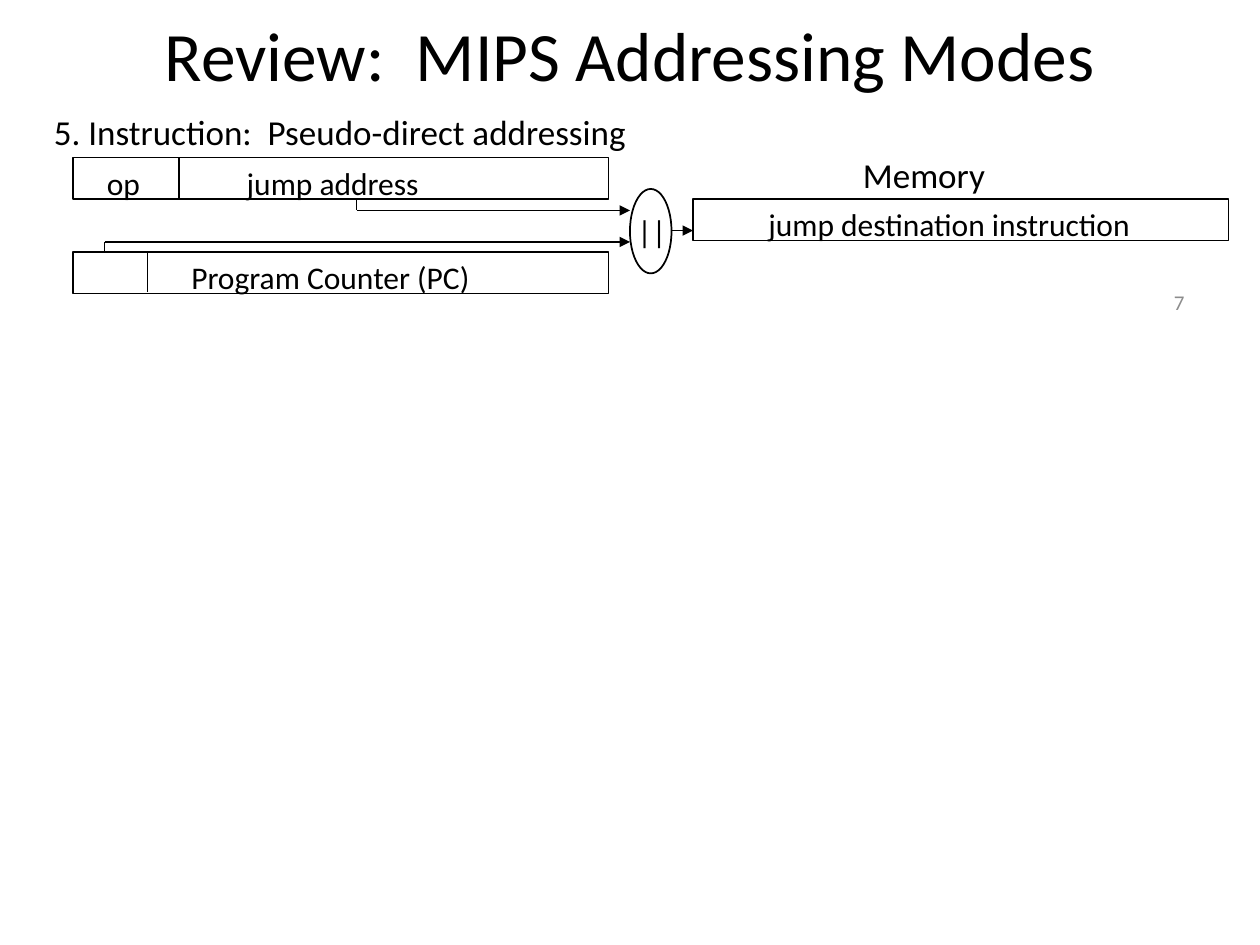
"""Build the slide that reviews MIPS pseudo-direct addressing."""
from dataclasses import dataclass

import lxml.etree
import pptx
import pptx.dml.color
import pptx.enum.shapes
import pptx.enum.text
import pptx.oxml.ns
import pptx.util

Inches = pptx.util.Inches
Pt = pptx.util.Pt
SHAPES = pptx.enum.shapes.MSO_SHAPE
ALIGN = pptx.enum.text.PP_ALIGN
ANCHOR = pptx.enum.text.MSO_ANCHOR

BLACK = pptx.dml.color.RGBColor(0x00, 0x00, 0x00)
GRAY = pptx.dml.color.RGBColor(0x8C, 0x8C, 0x8C)

REGISTER_WIDTH, REGISTER_HEIGHT = 4.25, 0.33
REGISTER_LEFT = 0.58
JUMP_ADDRESS_TAB = 1.11


@dataclass(frozen=True)
class Outline:
    left: float
    top: float
    width: float = REGISTER_WIDTH
    height: float = REGISTER_HEIGHT
    geometry: SHAPES = SHAPES.RECTANGLE


@dataclass(frozen=True)
class Wire:
    start: tuple[float, float]
    end: tuple[float, float]
    arrow: bool = False


@dataclass(frozen=True)
class Label:
    text: str
    left: float
    top: float
    width: float
    height: float = 0.4
    size: float = 18
    color: pptx.dml.color.RGBColor = BLACK
    align: ALIGN = ALIGN.LEFT
    anchor: ANCHOR = ANCHOR.TOP


OUTLINES = [
    Outline(REGISTER_LEFT, 1.25),
    Outline(REGISTER_LEFT, 2),
    Outline(5.5, 1.58),
    Outline(5, 1.5, 0.33, 0.67, SHAPES.OVAL),
]

WIRES = [
    Wire((1.42, 1.25), (1.42, 1.57)),
    Wire((1.17, 2), (1.17, 2.32)),
    Wire((2.83, 1.58), (2.83, 1.67)),
    Wire((2.83, 1.67), (5, 1.67), arrow=True),
    Wire((0.83, 2), (0.83, 1.92)),
    Wire((0.83, 1.92), (5, 1.92), arrow=True),
    Wire((5.33, 1.83), (5.5, 1.83), arrow=True),
]

LABELS = [
    Label("5. Instruction:  Pseudo-direct addressing", 0.33, 0.83, 5.5, 0.43, 20),
    Label("op\tjump address", 0.75, 1.25, 3.02),
    Label("Program Counter (PC)", 1.42, 2, 2.7),
    Label("Memory", 6.75, 1.17, 1.58, 0.43, 20),
    Label("jump destination instruction", 6, 1.58, 3.23),
    Label("||", 4.96, 1.63, 0.58),
    Label("7", 7.17, 2.2, 2.33, size=12, color=GRAY, align=ALIGN.RIGHT, anchor=ANCHOR.MIDDLE),
]


def apply_format(target: object, values: dict[str, object]) -> None:
    for attribute, value in values.items():
        setattr(target, attribute, value)


def add_child(parent: lxml.etree._Element, tag: str, **attributes: str) -> lxml.etree._Element:
    return lxml.etree.SubElement(parent, pptx.oxml.ns.qn(tag), attributes)


def write_text(frame: pptx.text.text.TextFrame, label: Label) -> None:
    apply_format(frame, {
        "text": label.text,
        "word_wrap": True,
        "auto_size": pptx.enum.text.MSO_AUTO_SIZE.NONE,
        "vertical_anchor": label.anchor,
    })
    paragraph = frame.paragraphs[0]
    paragraph.alignment = label.align
    if "\t" in label.text:
        tabs = add_child(paragraph._p.get_or_add_pPr(), "a:tabLst")
        add_child(tabs, "a:tab", pos=str(Inches(JUMP_ADDRESS_TAB)), algn="l")
    for run in paragraph.runs:
        apply_format(run.font, {"name": "Calibri", "size": Pt(label.size)})
        run.font.color.rgb = label.color


def draw_line_format(line: pptx.dml.line.LineFormat) -> None:
    line.color.rgb = BLACK
    line.width = Pt(1)


def add_outline(slide: pptx.slide.Slide, outline: Outline) -> None:
    box = (outline.left, outline.top, outline.width, outline.height)
    shape = slide.shapes.add_shape(outline.geometry, *map(Inches, box))
    shape.shadow.inherit = False
    shape.fill.background()
    draw_line_format(shape.line)


def add_wire(slide: pptx.slide.Slide, wire: Wire) -> None:
    connector = slide.shapes.add_connector(
        pptx.enum.shapes.MSO_CONNECTOR.STRAIGHT, *map(Inches, wire.start + wire.end)
    )
    draw_line_format(connector.line)
    if wire.arrow:
        add_child(connector.line._get_or_add_ln(), "a:tailEnd", type="triangle")
    add_child(connector._element.spPr, "a:effectLst")


def add_label(slide: pptx.slide.Slide, label: Label) -> None:
    box = (label.left, label.top, label.width, label.height)
    write_text(slide.shapes.add_textbox(*map(Inches, box)).text_frame, label)


def main() -> None:
    presentation = pptx.Presentation()
    apply_format(presentation, {"slide_width": Inches(10), "slide_height": Inches(7.5)})
    slide = presentation.slides.add_slide(presentation.slide_layouts.get_by_name("Title Only"))
    heading = Label("Review:  MIPS Addressing Modes", 0.5, 0.08, 9, 0.7, 39.6,
                    align=ALIGN.CENTER, anchor=ANCHOR.MIDDLE)
    apply_format(slide.shapes.title, {
        side: Inches(getattr(heading, side)) for side in ("left", "top", "width", "height")
    })
    write_text(slide.shapes.title.text_frame, heading)
    for outline in OUTLINES:
        add_outline(slide, outline)
    for wire in WIRES:
        add_wire(slide, wire)
    for label in LABELS:
        add_label(slide, label)
    presentation.save("out.pptx")


if __name__ == "__main__":
    main()
